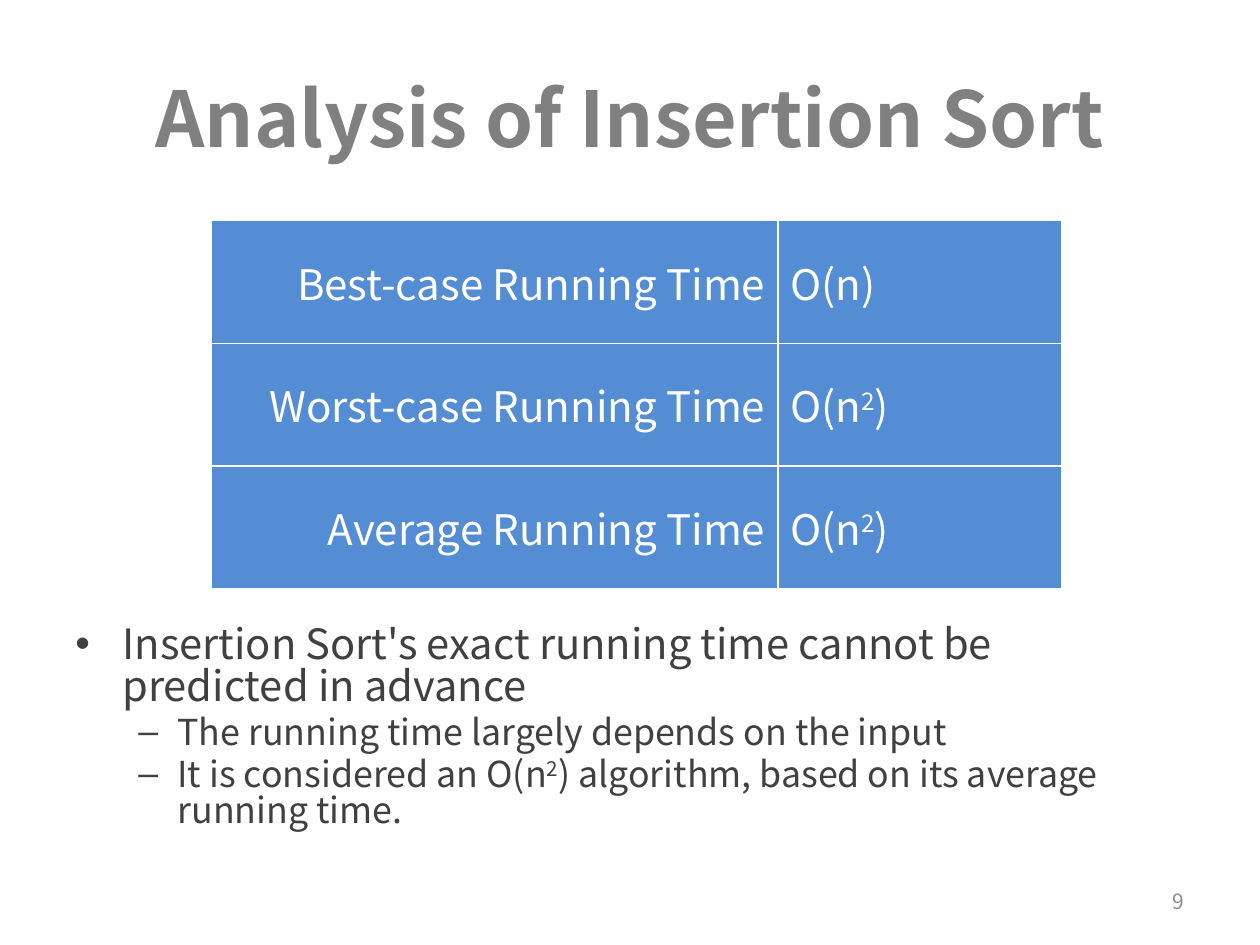
import pptx
import pptx.util
import pptx.dml.color
import pptx.enum.text
from lxml import etree
from pptx.oxml.ns import qn

Cm, Pt = pptx.util.Cm, pptx.util.Pt
ALIGN = pptx.enum.text.PP_ALIGN
MIDDLE = pptx.enum.text.MSO_ANCHOR.MIDDLE

FONT = "Noto Sans CJK SC"
COLORS = {"title": "808080", "cell": "548DD4", "white": "FFFFFF",
          "body": "404040", "number": "8C8C8C"}

# Every second piece of a text is superscript.
TITLE = "Analysis of Insertion Sort"
RUNNING_TIMES = [
    ("Best-case Running Time", ["O(n)"]),
    ("Worst-case Running Time", ["O(n", "2", ")"]),
    ("Average Running Time", ["O(n", "2", ")"]),
]
REMARKS = [
    (0, ["Insertion Sort's exact running time cannot be predicted in advance"]),
    (1, ["The running time largely depends on the input"]),
    (1, ["It is considered an O(n", "2",
         ") algorithm, based on its average running time."]),
]
# Per level: bullet, text size, left margin, hanging indent
LEVELS = [("•", 23.8, Cm(0.95), Cm(0.95)), ("–", 20.4, Cm(2.06), Cm(0.79))]
NUMBER = "9"


def write(paragraph, pieces, size, color, bold=False):
    for index, piece in enumerate(pieces):
        run = paragraph.add_run()
        run.text = piece
        run.font.name = FONT
        run.font.size = Pt(size)
        run.font.bold = bold
        run.font.color.rgb = pptx.dml.color.RGBColor.from_string(COLORS[color])
        if index % 2:
            run._r.get_or_add_rPr().set("baseline", "30000")


def border_cell(cell):
    properties = cell._tc.get_or_add_tcPr()
    for position, side in enumerate(("a:lnL", "a:lnR", "a:lnT", "a:lnB")):
        line = etree.Element(qn(side), w=str(Pt(1)))
        fill = etree.SubElement(line, qn("a:solidFill"))
        etree.SubElement(fill, qn("a:srgbClr"), val=COLORS["white"])
        properties.insert(position, line)


def add_title(slide):
    title = slide.shapes.title
    title.left, title.top, title.width, title.height = Cm(1.27), Cm(0.76), Cm(22.86), Cm(3.18)
    title.text_frame.vertical_anchor = MIDDLE
    paragraph = title.text_frame.paragraphs[0]
    paragraph.alignment = ALIGN.CENTER
    write(paragraph, [TITLE], 44, "title", bold=True)


def add_running_times(slide):
    table = slide.shapes.add_table(len(RUNNING_TIMES), 2, Cm(4.25), Cm(4.45),
                                   Cm(17.15), Cm(7.41)).table
    table.first_row = table.horz_banding = False
    table.columns[0].width, table.columns[1].width = Cm(11.43), Cm(5.72)
    for row, (case, order) in enumerate(RUNNING_TIMES):
        for column, (pieces, alignment) in enumerate(
                [([case], ALIGN.RIGHT), (order, ALIGN.LEFT)]):
            cell = table.cell(row, column)
            cell.vertical_anchor = MIDDLE
            cell.fill.solid()
            cell.fill.fore_color.rgb = pptx.dml.color.RGBColor.from_string(COLORS["cell"])
            border_cell(cell)
            paragraph = cell.text_frame.paragraphs[0]
            paragraph.alignment = alignment
            write(paragraph, pieces, 24, "white")


def add_remarks(slide):
    frame = slide.shapes.add_textbox(Cm(1.27), Cm(12.5), Cm(22.86), Cm(4.45)).text_frame
    frame.word_wrap = True
    for index, (level, pieces) in enumerate(REMARKS):
        paragraph = frame.add_paragraph() if index else frame.paragraphs[0]
        bullet, size, margin, hanging = LEVELS[level]
        paragraph.level = level
        paragraph.line_spacing = 0.84
        paragraph.space_before = Pt(3.5)
        properties = paragraph._p.get_or_add_pPr()
        properties.set("marL", str(margin))
        properties.set("indent", str(-hanging))
        etree.SubElement(properties, qn("a:buFont"), typeface="Arial")
        etree.SubElement(properties, qn("a:buChar"), char=bullet)
        write(paragraph, pieces, size, "body")


def add_number(slide):
    frame = slide.shapes.add_textbox(Cm(18.21), Cm(17.65), Cm(5.92), Cm(1.02)).text_frame
    frame.word_wrap = True
    frame.vertical_anchor = MIDDLE
    frame.paragraphs[0].alignment = ALIGN.RIGHT
    write(frame.paragraphs[0], [NUMBER], 12, "number")


def main():
    presentation = pptx.Presentation()
    presentation.slide_width, presentation.slide_height = Cm(25.4), Cm(19.05)
    slide = presentation.slides.add_slide(presentation.slide_layouts[5])
    add_title(slide)
    add_running_times(slide)
    add_remarks(slide)
    add_number(slide)
    presentation.save("out.pptx")


if __name__ == "__main__":
    main()
